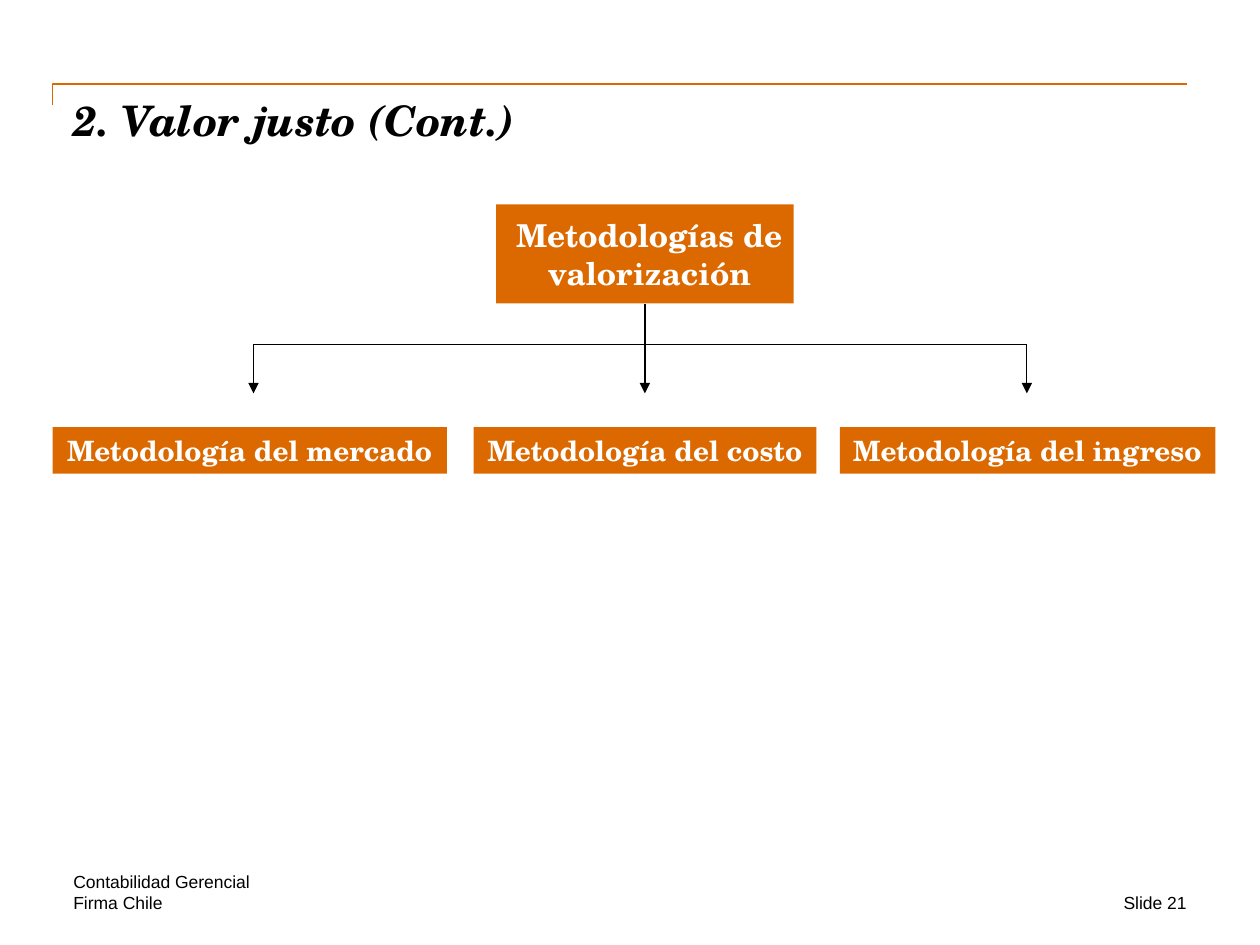
from dataclasses import dataclass

from lxml import etree
from pptx import Presentation
from pptx.dml.color import RGBColor
from pptx.enum.shapes import MSO_CONNECTOR, MSO_SHAPE
from pptx.enum.text import MSO_ANCHOR, PP_ALIGN
from pptx.oxml.ns import qn
from pptx.util import Cm, Pt

RECT = MSO_SHAPE.RECTANGLE
STRAIGHT = MSO_CONNECTOR.STRAIGHT
LEFT, CENTER, RIGHT = PP_ALIGN.LEFT, PP_ALIGN.CENTER, PP_ALIGN.RIGHT
TOP, MIDDLE, BOTTOM = MSO_ANCHOR.TOP, MSO_ANCHOR.MIDDLE, MSO_ANCHOR.BOTTOM


@dataclass(frozen=True)
class Theme:
    accent: RGBColor = RGBColor(0xDC, 0x69, 0x00)
    dark: RGBColor = RGBColor(0, 0, 0)
    light: RGBColor = RGBColor(0xFF, 0xFF, 0xFF)
    serif: str = "TeX Gyre Schola"
    sans: str = "Arial"
    title: float = 24
    root: float = 18
    method: float = 16
    foot: float = 10


@dataclass(frozen=True)
class Box:
    """A labelled rectangle; lengths and margins (left, top, right, bottom) in cm."""
    text: str
    left: float
    top: float
    width: float
    height: float
    size: float
    margins: tuple = (0, 0, 0, 0)
    wrap: bool = True


@dataclass(frozen=True)
class Note:
    text: str
    left: float
    top: float
    width: float
    align: PP_ALIGN = LEFT
    anchor: MSO_ANCHOR = TOP


THEME = Theme()
ROOT = Box("Metodologías de valorización", 10, 4.12, 6, 2,
           THEME.root, margins=(0.18, 0, 0, 0))
METHODS = [
    Box(text, left, 8.61, width, 0.94, THEME.method,
        margins=(0.25, 0.13, 0.25, 0.13), wrap=False)
    for text, left, width in (
        ("Metodología del mercado", 1.06, 7.95),
        ("Metodología del costo", 9.55, 6.91),
        ("Metodología del ingreso", 16.93, 7.57),
    )
]
NOTES = [
    Note("Slide 21", 19.69, 17.99, 4.23, align=RIGHT),
    Note("Contabilidad Gerencial", 1.48, 17.57, 14.6, anchor=BOTTOM),
    Note("Firma Chile", 1.48, 17.99, 7.2),
]
NOTE_HEIGHT = 0.42
FRAME = [(1.06, 2.11), (1.06, 1.7), (23.92, 1.7)]
BUS_Y, TIP_Y = 6.94, 7.93
BUS_LEFT, TRUNK_X, BUS_RIGHT = 5.11, 13, 20.7


def set_text(shape, text: str, size: float, font: str, color: RGBColor,
             align=LEFT, anchor=TOP, margins=(0, 0, 0, 0),
             wrap=True, bold=False, italic=False) -> None:
    frame = shape.text_frame
    frame.text = text
    frame.word_wrap = wrap
    frame.vertical_anchor = anchor
    (frame.margin_left, frame.margin_top,
     frame.margin_right, frame.margin_bottom) = map(Cm, margins)
    para = frame.paragraphs[0]
    para.alignment = align
    face = para.runs[0].font
    face.name, face.size = font, Pt(size)
    face.bold, face.italic = bold, italic
    face.color.rgb = color


def add_frame(slide) -> None:
    """Draw the thin corner rule above the title."""
    points = [(Cm(x), Cm(y)) for x, y in FRAME]
    pen = slide.shapes.build_freeform(*points[0])
    pen.add_line_segments(points[1:], close=False)
    rule = pen.convert_to_shape()
    rule.shadow.inherit = False
    rule.fill.background()
    rule.line.color.rgb = THEME.accent
    rule.line.width = Pt(1)


def add_title(slide, text: str) -> None:
    title = slide.shapes.title
    title.left, title.top = Cm(1.48), Cm(1.9)
    title.width, title.height = Cm(22.43), Cm(2.54)
    set_text(title, text, THEME.title, THEME.serif, THEME.dark,
             bold=True, italic=True)


def add_box(slide, box: Box):
    shape = slide.shapes.add_shape(
        RECT, Cm(box.left), Cm(box.top), Cm(box.width), Cm(box.height))
    shape.shadow.inherit = False
    shape.fill.solid()
    shape.fill.fore_color.rgb = THEME.accent
    shape.line.fill.background()
    set_text(shape, box.text, box.size, THEME.serif, THEME.light, CENTER,
             MIDDLE, box.margins, box.wrap, bold=True)
    return shape


def add_line(slide, start: tuple, end: tuple, arrow: bool = False):
    line = slide.shapes.add_connector(
        STRAIGHT, *(Cm(v) for v in (*start, *end)))
    line.line.color.rgb = THEME.dark
    line.line.width = Pt(0.75)
    if arrow:
        stroke = line.line._get_or_add_ln()
        etree.SubElement(stroke, qn("a:tailEnd"), type="triangle")
    etree.SubElement(line._element.spPr, qn("a:effectLst"))
    return line


def add_note(slide, note: Note) -> None:
    shape = slide.shapes.add_textbox(
        Cm(note.left), Cm(note.top), Cm(note.width), Cm(NOTE_HEIGHT))
    set_text(shape, note.text, THEME.foot, THEME.sans, THEME.dark,
             note.align, note.anchor)


def main() -> None:
    deck = Presentation()
    deck.slide_width, deck.slide_height = Cm(25.4), Cm(19.05)
    slide = deck.slides.add_slide(deck.slide_layouts[5])

    add_frame(slide)
    add_title(slide, "2. Valor justo (Cont.)")
    for method in METHODS:
        add_box(slide, method)
    root = add_box(slide, ROOT)

    trunk = add_line(slide, (TRUNK_X, ROOT.top + ROOT.height),
                     (TRUNK_X, TIP_Y), arrow=True)
    trunk.begin_connect(root, 2)
    add_line(slide, (BUS_LEFT, BUS_Y), (BUS_RIGHT, BUS_Y))
    for x in (BUS_LEFT, BUS_RIGHT):
        add_line(slide, (x, BUS_Y), (x, TIP_Y), arrow=True)

    for note in NOTES:
        add_note(slide, note)
    deck.save("out.pptx")


if __name__ == "__main__":
    main()
